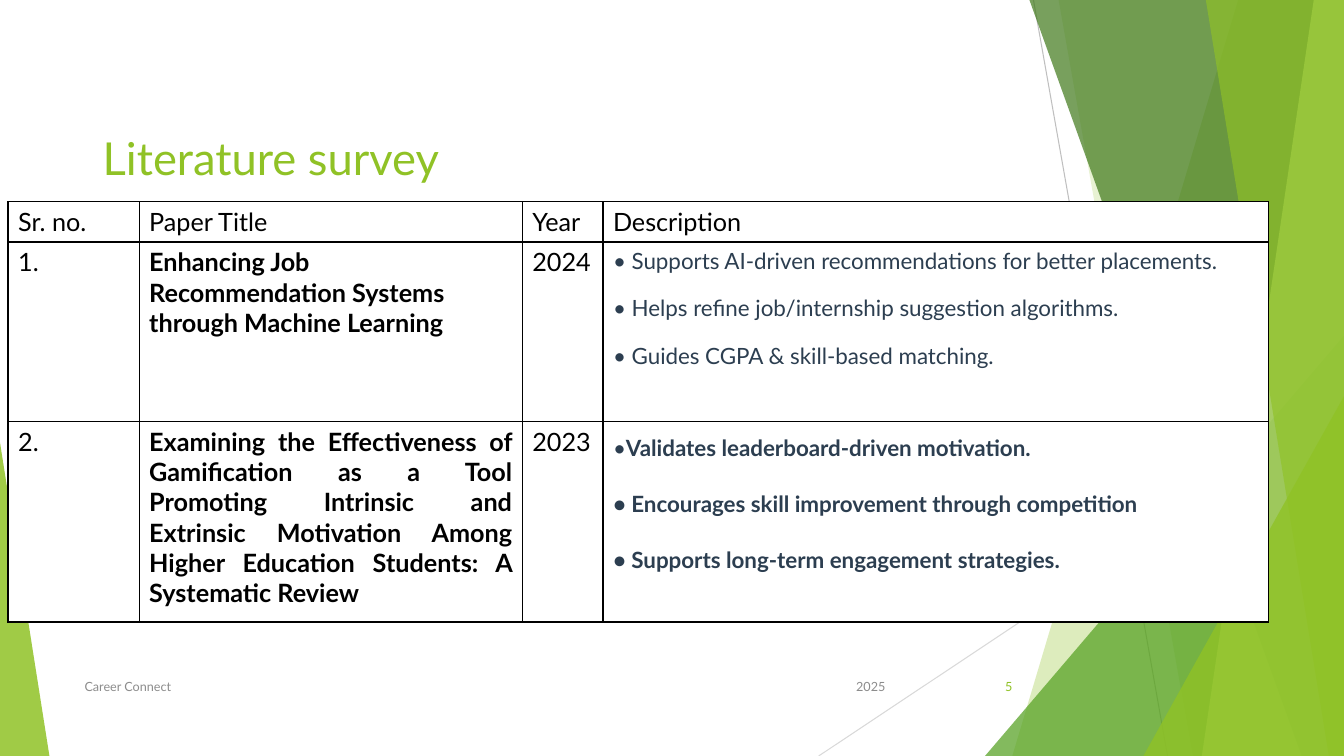
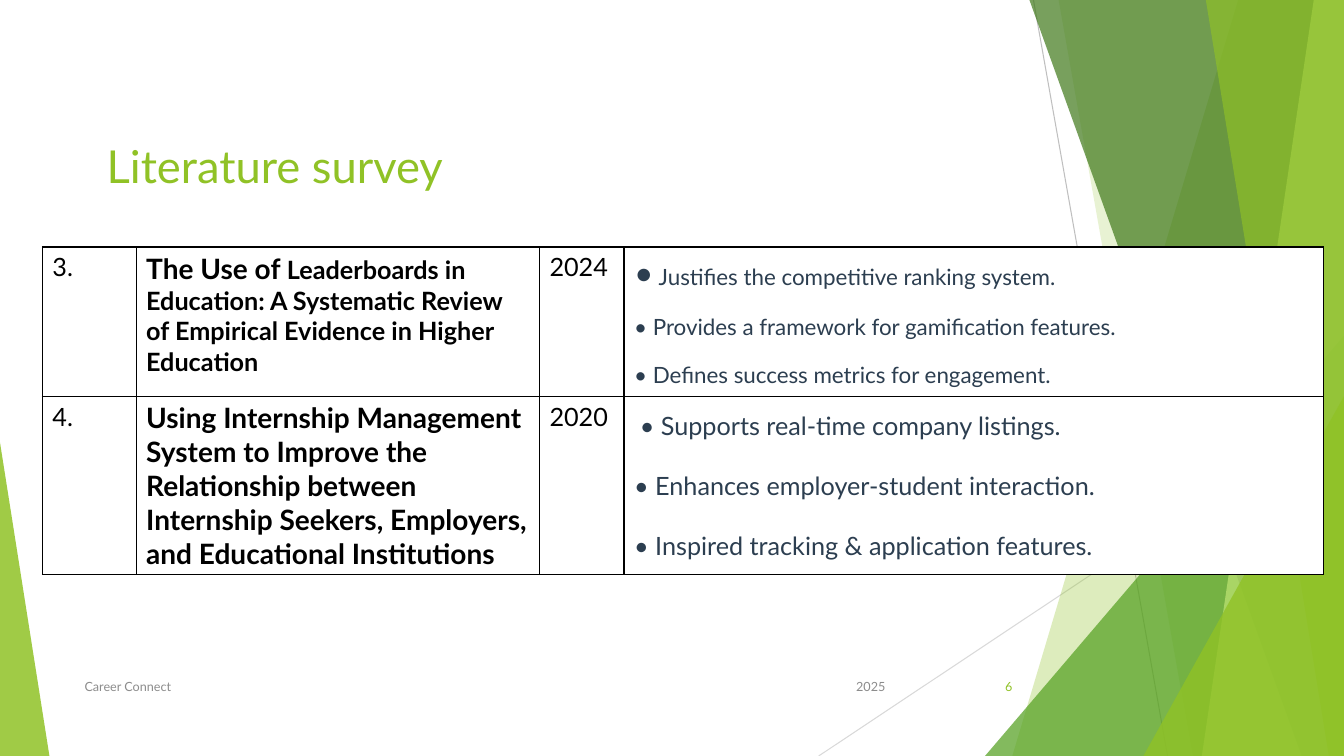
from lxml import etree
from pptx import Presentation, util as u
from pptx.dml.color import RGBColor
from pptx.enum import shapes, text
from pptx.oxml import ns

FONT = "Lato"
WIDE, HIGH = 13.33, 7.5
WHITE = RGBColor(0xFF, 0xFF, 0xFF)
BLACK = RGBColor(0x00, 0x00, 0x00)
NAVY = RGBColor(0x2C, 0x3E, 0x50)
GREY = RGBColor(0x8C, 0x8C, 0x8C)
LIME = RGBColor(0x90, 0xC2, 0x26)
LEAF = RGBColor(0x54, 0xA0, 0x21)
MOSS = RGBColor(0x3F, 0x78, 0x19)
PALE = RGBColor(0xC0, 0xE4, 0x74)
ASH = RGBColor(0xBF, 0xBF, 0xBF)
MIST = RGBColor(0xD9, 0xD9, 0xD9)

LEFT, RIGHT = text.PP_ALIGN.LEFT, text.PP_ALIGN.RIGHT
EVEN = text.PP_ALIGN.JUSTIFY


# Text and fill helpers
def add_run(par, words, size, color=BLACK, bold=False):
    run = par.add_run()
    run.text = words
    font = run.font
    font.name, font.size, font.bold = FONT, u.Pt(size), bold
    font.color.rgb = color


def add_text(slide, box, words, size, color, align=LEFT,
             anchor=text.MSO_ANCHOR.MIDDLE):
    frame = slide.shapes.add_textbox(*map(u.Inches, box)).text_frame
    frame.word_wrap = True
    frame.vertical_anchor = anchor
    par = frame.paragraphs[0]
    par.alignment = align
    add_run(par, words, size, color)


def tint(shape, color, alpha):
    shape.shadow.inherit = False
    shape.line.fill.background()
    shape.fill.solid()
    shape.fill.fore_color.rgb = color
    tone = shape._element.spPr.find(".//" + ns.qn("a:srgbClr"))
    etree.SubElement(tone, ns.qn("a:alpha")).set("val", str(alpha * 1000))


# Background facets
def add_ray(slide, ends, color):
    ray = slide.shapes.add_connector(shapes.MSO_CONNECTOR.STRAIGHT,
                                     *map(u.Inches, ends))
    ray.line.color.rgb = color
    ray.line.width = u.Pt(0.75)
    etree.SubElement(ray._element.spPr, ns.qn("a:effectLst"))


def add_band(slide, top, base, color, alpha):
    """Fill from a slanted edge to the right side of the slide."""
    pts = [(top, 0), (WIDE, 0), (WIDE, HIGH), (base, HIGH)]
    pts = [(u.Inches(x), u.Inches(y)) for x, y in pts]
    form = slide.shapes.build_freeform(*pts[0])
    form.add_line_segments(pts[1:], close=True)
    tint(form.convert_to_shape(), color, alpha)


def add_wedge(slide, left, top, width, tip, color, alpha):
    """Stand a right triangle on the bottom edge of the slide."""
    wedge = slide.shapes.add_shape(
        shapes.MSO_SHAPE.ISOSCELES_TRIANGLE,
        *map(u.Inches, (left, top, width, HIGH - top)))
    wedge.adjustments[0] = tip
    tint(wedge, color, alpha)


def add_facets(slide):
    add_ray(slide, (10.25, 0, 11.58, HIGH), ASH)
    add_ray(slide, (WIDE, 4.03, 8.12, HIGH), MIST)
    add_band(slide, 12.28, 10.04, LIME, 30)
    add_band(slide, 10.5, 11.83, LIME, 20)
    add_wedge(slide, 9.77, 3.33, 3.56, 1, LEAF, 72)
    add_band(slide, 10.21, 12.91, MOSS, 70)
    add_band(slide, 13.03, 11.92, PALE, 70)
    add_band(slide, 11.96, 13.18, LIME, 65)
    add_wedge(slide, 11.34, 3.93, 1.99, 1, LIME, 80)
    add_wedge(slide, 0, 4.39, 0.49, 0, LIME, 85)


def add_footer(slide, number):
    top, high = 6.61, 0.4
    add_text(slide, (7.88, top, 1, high), "2025", 9, GREY, RIGHT)
    add_text(slide, (0.74, top, 6.89, high), "Career Connect", 9, GREY)
    add_text(slide, (9.39, top, 0.75, high), str(number), 9, LIME, RIGHT)


# Table parts
def dress(cell):
    """Give a cell black borders and a white fill."""
    props = cell._tc.get_or_add_tcPr()
    for side in ("lnL", "lnR", "lnT", "lnB"):
        edge = etree.SubElement(props, ns.qn("a:" + side), w=str(u.Pt(1)))
        fill = etree.SubElement(edge, ns.qn("a:solidFill"))
        etree.SubElement(fill, ns.qn("a:srgbClr"), val=str(BLACK))
    cell.fill.solid()
    cell.fill.fore_color.rgb = WHITE


def plain(words):
    return lambda cell: write(cell, [[(words, 18)]], EVEN)


def title(*runs, align=LEFT):
    runs = [(words, size, BLACK, True) for words, size in runs]
    return lambda cell: write(cell, [runs], align)


def points(*lines, pitch=None):
    """Each line is a list of (words, size, bold) runs."""
    pars = [[(words, size, NAVY, bold) for words, size, bold in line]
            for line in lines]
    return lambda cell: write(cell, pars, LEFT, 7.5, pitch)


def write(cell, pars, align, gap=0, pitch=None):
    frame = cell.text_frame
    for i, runs in enumerate(pars):
        par = frame.add_paragraph() if i else frame.paragraphs[0]
        par.alignment = align
        par.space_before = u.Pt(gap if i else 0)
        par.space_after = u.Pt(gap)
        if pitch:
            par.line_spacing = pitch
        for run in runs:
            add_run(par, *run)


def add_grid(slide, left, top, cols, rows):
    """Rows are (height, cell writers)."""
    high = sum(row[0] for row in rows)
    box = map(u.Inches, (left, top, sum(cols), high))
    grid = slide.shapes.add_table(len(rows), len(cols), *box).table
    grid.first_row = grid.horz_banding = False
    for col, width in zip(grid.columns, cols):
        col.width = u.Inches(width)
    for r, (height, fills) in enumerate(rows):
        grid.rows[r].height = u.Inches(height)
        for c, fill in enumerate(fills):
            cell = grid.cell(r, c)
            dress(cell)
            fill(cell)


# Slides
def add_page(deck, number, box, grids):
    slide = deck.slides.add_slide(deck.slide_layouts[6])
    add_facets(slide)
    add_text(slide, box, "Literature survey", 32.4, LIME,
             anchor=text.MSO_ANCHOR.TOP)
    add_footer(slide, number)
    for grid in grids:
        add_grid(slide, *grid)


HEAD = [plain(words)
        for words in ("Sr. no.", "Paper Title", "Year", "Description")]

JOBS = [
    plain("1."),
    title(("Enhancing Job Recommendation Systems through Machine Learning",
           18)),
    plain("2024"),
    points(
        [("• Supports AI-driven recommendations for better placements.",
          16, False)],
        [("• Helps refine job/internship suggestion algorithms.", 16, False)],
        [("• Guides CGPA & skill-based matching.", 16, False)]),
]

GAMES = [
    plain("2."),
    title(("Examining the Effectiveness of Gamification as a Tool Promoting "
           "Intrinsic and Extrinsic Motivation Among Higher Education "
           "Students: A Systematic Review", 18), align=EVEN),
    plain("2023"),
    points(
        [("•", 16, False),
         ("Validates leaderboard-driven motivation.", 16, True)],
        [("• Encourages skill improvement through competition", 16, True)],
        [("• Supports long-term engagement strategies.", 16, True)],
        pitch=1.3),
]

RANKS = [
    plain("3."),
    title(("The Use of ", 20),
          ("Leaderboards in Education: A Systematic Review of Empirical "
           "Evidence in Higher Education", 18)),
    plain("2024"),
    points(
        [("•", 24, False),
         (" Justifies the competitive ranking system.", 16, False)],
        [("• Provides a framework for gamification features.", 16, False)],
        [("• Defines success metrics for engagement.", 16, False)]),
]

INTERNS = [
    plain("4."),
    title(("Using Internship Management System to Improve the Relationship "
           "between Internship Seekers, Employers, and Educational "
           "Institutions", 20)),
    plain("2020"),
    points(
        [(" ", 16, False),
         ("• Supports real-time company listings.", 18, False)],
        [("• Enhances employer-student interaction.", 18, False)],
        [("• Inspired tracking & application features.", 18, False)],
        pitch=1.3),
]


def main():
    deck = Presentation()
    deck.slide_width, deck.slide_height = u.Inches(WIDE), u.Inches(HIGH)
    first = (1.3, 3.8, 0.8, 6.6)
    next_cols = (0.93, 4, 0.84, 6.94)
    add_page(deck, 5, (0.92, 1.24, 5.68, 0.58), [
        (0.08, 2, first, [(0.39, HEAD), (1.78, JOBS), (1.99, GAMES)])])
    add_page(deck, 6, (0.96, 1.32, 4.47, 0.6), [
        (0.42, 2.45, next_cols, [(1.48, RANKS)]),
        (0.42, 3.93, next_cols, [(1.77, INTERNS)])])
    deck.save("out.pptx")


if __name__ == "__main__":
    main()
